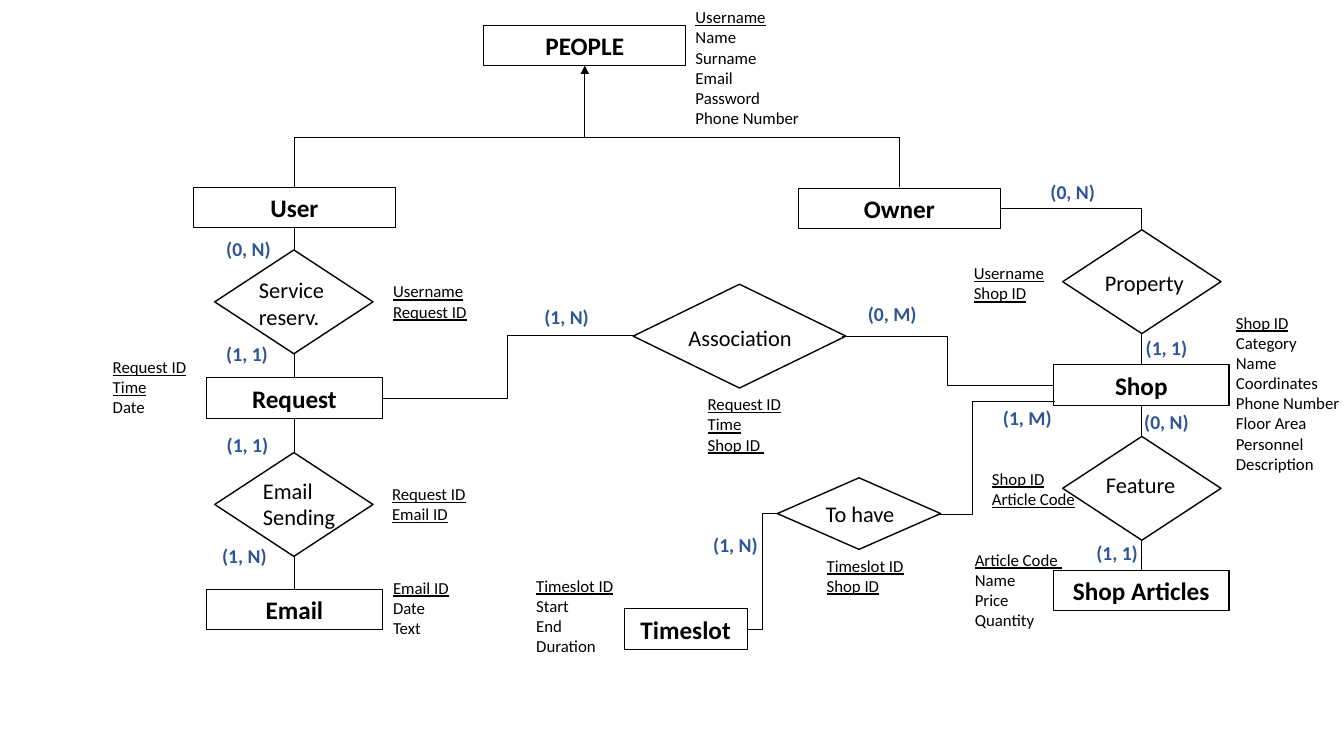
from lxml import etree
from pptx import Presentation
from pptx.dml.color import RGBColor
from pptx.enum.shapes import MSO_CONNECTOR, MSO_SHAPE
from pptx.enum.text import MSO_ANCHOR, PP_ALIGN
from pptx.oxml.ns import qn
from pptx.util import Inches, Pt

RECTANGLE, DIAMOND = MSO_SHAPE.RECTANGLE, MSO_SHAPE.DIAMOND
STRAIGHT, ELBOW = MSO_CONNECTOR.STRAIGHT, MSO_CONNECTOR.ELBOW
LEFT, CENTER, MIDDLE = PP_ALIGN.LEFT, PP_ALIGN.CENTER, MSO_ANCHOR.MIDDLE
COLORS = {"ink": "000000", "cardinality": "2F5597"}
FORMATS = {
    "entity": {"size": Pt(18), "bold": True},
    "relation": {"size": Pt(16)},
    "attribute": {"size": Pt(12)},
    "cardinality": {"size": Pt(14), "bold": True},
}

presentation = Presentation()
presentation.slide_width, presentation.slide_height = Inches(13.33), Inches(7.5)
slide = presentation.slides.add_slide(presentation.slide_layouts[6])


def write(shape, lines, style, alignment=LEFT, underlined=0):
    """Write one paragraph per line, underlining the first few as keys."""
    frame = shape.text_frame
    frame.word_wrap = True
    for index, line in enumerate(lines):
        paragraph = frame.paragraphs[0] if index == 0 else frame.add_paragraph()
        paragraph.alignment = alignment
        run = paragraph.add_run()
        run.text = line
        run.font.name = "Calibri"
        color = "cardinality" if style == "cardinality" else "ink"
        run.font.color.rgb = RGBColor.from_string(COLORS[color])
        for name, value in FORMATS[style].items():
            setattr(run.font, name, value)
        if index < underlined:
            run.font.underline = True


def add_outline(kind, left, top, width, height, weight):
    """Add an unfilled shape with a black outline."""
    shape = slide.shapes.add_shape(
        kind, Inches(left), Inches(top), Inches(width), Inches(height))
    shape.shadow.inherit = False
    shape.fill.background()
    shape.line.color.rgb = RGBColor.from_string(COLORS["ink"])
    shape.line.width = Pt(weight)
    return shape


# Connections: kind, start x, start y, end x, end y
USER_X, SHOP_X, PEOPLE_X, OWNER_X, BRANCH_Y = 2.92, 11.32, 5.8, 8.92, 1.36
connections = [
    (STRAIGHT, USER_X, BRANCH_Y, OWNER_X, BRANCH_Y),
    (STRAIGHT, USER_X, 1.86, USER_X, BRANCH_Y),
    (STRAIGHT, OWNER_X, 1.86, OWNER_X, BRANCH_Y),
    (ELBOW, 8.35, 3.34, 10.45, 3.82),
    (ELBOW, 3.79, 3.95, 6.28, 3.33),
    (ELBOW, 7.71, 5.09, 7.41, 6.24),
]
vertical_links = {
    USER_X: [(2.26, 2.48), (3.51, 3.75), (4.15, 4.49), (5.52, 5.85)],
    SHOP_X: [(3.31, 3.62), (4.02, 4.33), (5.36, 5.66)],
}
for x, spans in vertical_links.items():
    connections += [(STRAIGHT, x, top, x, bottom) for top, bottom in spans]
inheritance = (STRAIGHT, PEOPLE_X, BRANCH_Y, PEOPLE_X, 0.65)
owner_property = (ELBOW, 9.92, 2.07, SHOP_X, 2.28)
shop_to_have = (ELBOW, 10.46, 3.98, 9.29, 5.1)
for link in connections + [inheritance, owner_property, shop_to_have]:
    connector = slide.shapes.add_connector(link[0], *map(Inches, link[1:]))
    connector.line.color.rgb = RGBColor.from_string(COLORS["ink"])
    connector.line.width = Pt(0.5)
    properties = connector._element.spPr
    etree.SubElement(properties, qn("a:effectLst"))
    geometry = properties.find(qn("a:prstGeom"))
    if link is inheritance:
        line = properties.find(qn("a:ln"))
        etree.SubElement(line, qn("a:tailEnd"), type="triangle")
    elif link is owner_property:
        geometry.set("prst", "bentConnector2")
    elif link is shop_to_have:
        etree.SubElement(geometry.find(qn("a:avLst")), qn("a:gd"),
                         name="adj1", fmla="val 69400")

# Entities: name, left, top, width
entities = [
    ("PEOPLE", 4.8, 0.25, 2), ("User", 1.92, 1.86, 2), ("Owner", 7.92, 1.87, 2),
    ("Request", 2.05, 3.75, 1.74), ("Email", 2.05, 5.85, 1.74),
    ("Shop", 10.45, 3.62, 1.74), ("Shop Articles", 10.45, 5.66, 1.74),
    ("Timeslot", 6.19, 6.04, 1.22),
]
for name, left, top, width in entities:
    entity = add_outline(RECTANGLE, left, top, width, 0.4, 0.75)
    entity.text_frame.vertical_anchor = MIDDLE
    write(entity, [name], "entity", CENTER)

# Relations: label lines, diamond box, label box
relations = [
    (["Service reserv."], (2.13, 2.48, 1.57, 1.03), (2.47, 2.69, 1.26, 0.64)),
    (["Email", "Sending"], (2.13, 4.49, 1.57, 1.03), (2.51, 4.68, 0.95, 0.64)),
    (["Property"], (10.54, 2.28, 1.57, 1.03), (10.86, 2.62, 1.22, 0.37)),
    (["Feature"], (10.54, 4.33, 1.57, 1.03), (10.87, 4.62, 1.01, 0.37)),
    (["Association"], (6.28, 2.82, 2.11, 1.03), (6.73, 3.17, 1.74, 0.37)),
    (["To have"], (7.71, 4.74, 1.62, 0.71), (8.09, 4.91, 0.95, 0.37)),
]
for lines, diamond_box, label_box in relations:
    add_outline(DIAMOND, *diamond_box, 1)
    write(slide.shapes.add_textbox(*map(Inches, label_box)), lines, "relation")

# Attributes: left, top, width, number of underlined keys, lines
attributes = [
    (6.8, 0.02, 2, 1, ["Username", "Name", "Surname", "Email", "Password",
                       "Phone Number"]),
    (1.02, 3.49, 2, 2, ["Request ID", "Time", "Date"]),
    (3.8, 2.74, 2, 2, ["Username", "Request ID"]),
    (3.79, 4.75, 2, 2, ["Request ID", "Email ID"]),
    (3.8, 5.68, 2, 1, ["Email ID", "Date", "Text"]),
    (9.56, 2.56, 2, 2, ["Username", "Shop ID"]),
    (12.16, 3.05, 2, 1, ["Shop ID", "Category", "Name", "Coordinates",
                         "Phone Number", "Floor Area", "Personnel",
                         "Description"]),
    (9.74, 4.6, 1.14, 2, ["Shop ID", "Article Code"]),
    (9.57, 5.4, 2, 1, ["Article Code ", "Name", "Price", "Quantity"]),
    (6.92, 3.86, 2, 3, ["Request ID", "Time", "Shop ID "]),
    (5.22, 5.66, 2, 1, ["Timeslot ID", "Start", "End", "Duration"]),
    (8.1, 5.46, 2, 2, ["Timeslot ID", "Shop ID"]),
]
for left, top, width, keys, lines in attributes:
    height = 0.1 + 0.2 * len(lines)
    box = slide.shapes.add_textbox(
        Inches(left), Inches(top), Inches(width), Inches(height))
    write(box, lines, "attribute", underlined=keys)

# Cardinalities: label, left, top, width
cardinalities = [
    ("(0, N)", 2.11, 2.3, 0.71), ("(1, 1)", 2.14, 3.34, 0.62),
    ("(1, 1)", 2.1, 4.25, 0.71), ("(1, N)", 2.06, 5.35, 0.73),
    ("(0, N)", 9.64, 1.74, 2), ("(1, 1)", 10.57, 3.28, 2),
    ("(0, N)", 10.57, 4.02, 2), ("(1, 1)", 10.08, 5.32, 2),
    ("(1, N)", 4.62, 2.98, 2), ("(0, M)", 7.85, 2.95, 2),
    ("(1, M)", 9.19, 3.98, 2), ("(1, N)", 6.9, 5.24, 0.79),
]
for label, left, top, width in cardinalities:
    box = slide.shapes.add_textbox(
        Inches(left), Inches(top), Inches(width), Inches(0.34))
    write(box, [label], "cardinality", CENTER)

presentation.save("out.pptx")
